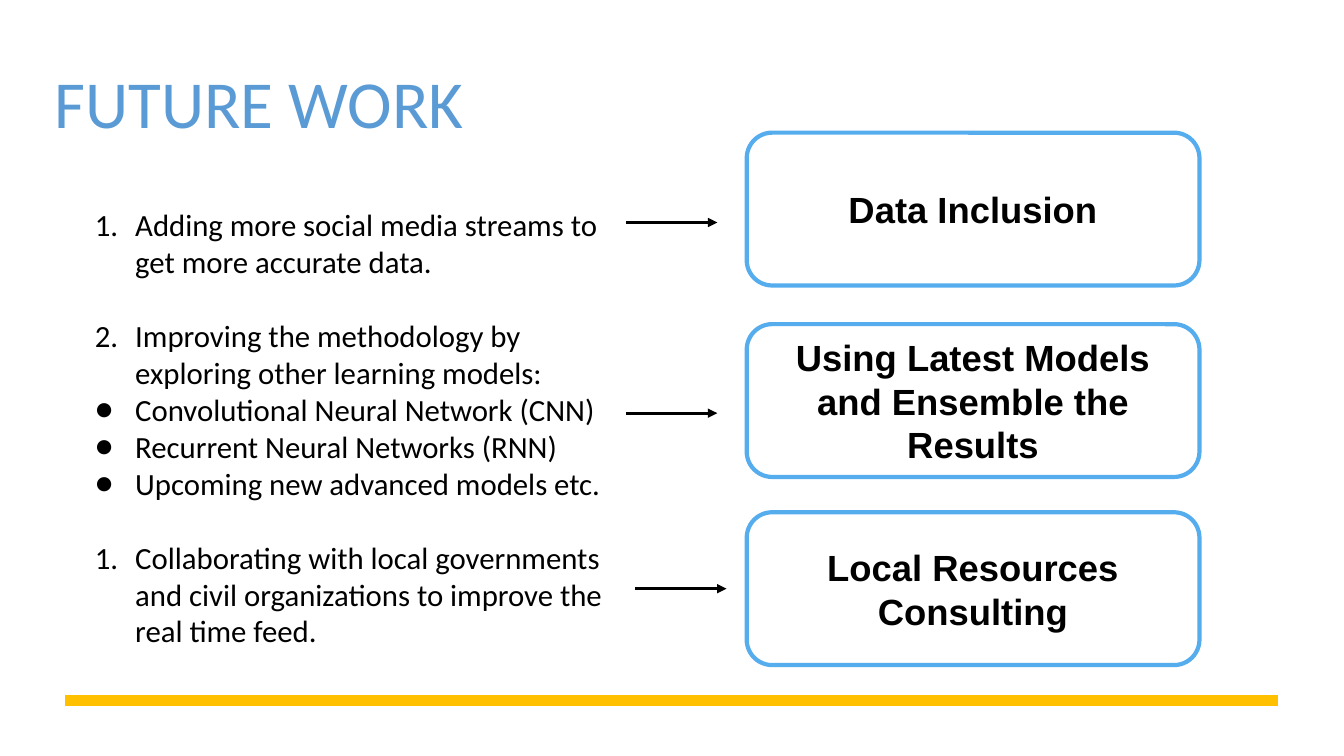
from dataclasses import dataclass

from lxml.etree import SubElement as sub
from pptx import Presentation
from pptx.dml.color import RGBColor as Rgb
from pptx.enum.shapes import MSO_CONNECTOR as Conn, MSO_SHAPE as Shape
from pptx.enum.text import MSO_ANCHOR as Anchor, MSO_AUTO_SIZE as Fit, PP_ALIGN as Align
from pptx.oxml.ns import qn
from pptx.util import Inches, Pt


@dataclass(frozen=True)
class Theme:
    blue: str = "5B9BD5"
    edge: str = "55ADEE"
    gold: str = "FFC000"
    ink: str = "000000"
    text: str = "Calibri"
    label: str = "Arial"
    head: int = 48
    body: int = 22
    box: int = 26
    gap: float = 26.4


T = Theme()
CELL = Inches(13.33) / 16  # grid of 16 columns and 9 rows

# Goal rows: label, box top, arrow start, arrow row
GOALS = [
    ("Data Inclusion", 1.58, 7.45, 2.65),
    ("Using Latest Models and Ensemble the Results", 3.86, 7.45, 4.92),
    ("Local Resources Consulting", 6.1, 7.56, 7.01),
]

# List items: number (None for a dot), text, opens a new group
ITEMS = [
    (1, "Adding more social media streams to get more accurate data.", False),
    (2, "Improving the methodology by exploring other learning models:", True),
    (None, "Convolutional Neural Network (CNN)", False),
    (None, "Recurrent Neural Networks (RNN)", False),
    (None, "Upcoming new advanced models etc.", False),
    (1, "Collaborating with local governments and civil organizations "
        "to improve the real time feed.", True),
]


def grid(*cells):
    return [round(c * CELL) for c in cells]


def place(shape, *cells):
    shape.left, shape.top, shape.width, shape.height = grid(*cells)


def style(para, face, size, color, bold=False):
    font = para.font
    font.name, font.size, font.bold = face, Pt(size), bold
    font.color.rgb = Rgb.from_string(color)


def setup(frame, anchor, pad):
    frame.word_wrap, frame.auto_size = True, Fit.NONE
    frame.vertical_anchor = anchor
    frame.margin_left = frame.margin_right = Inches(0.1)
    frame.margin_top = frame.margin_bottom = Inches(pad)


def mark(para, num):
    props = para._p.get_or_add_pPr()
    props.set("marL", str(Inches(0.5)))
    props.set("indent", str(-Inches(0.4)))
    tint = sub(props, qn("a:buClr"))
    sub(tint, qn("a:srgbClr"), val=T.ink)
    sub(props, qn("a:buFont"), typeface=T.text)
    if num:
        sub(props, qn("a:buAutoNum"), type="arabicPeriod", startAt=str(num))
    else:
        sub(props, qn("a:buChar"), char="●")


def add_title(slide, text):
    title = slide.shapes.title
    place(title, 0.53, 0.66, 11.57, 1.09)
    setup(title.text_frame, Anchor.MIDDLE, 0.05)
    title.text_frame.text = text
    para = title.text_frame.paragraphs[0]
    para.alignment = Align.LEFT
    style(para, T.text, T.head, T.blue)


def add_list(slide, items):
    body = slide.placeholders[1]
    place(body, 0.89, 2.33, 6.66, 5.58)
    frame = body.text_frame
    setup(frame, Anchor.TOP, 0.1)
    for i, (num, text, opens) in enumerate(items):
        para = frame.add_paragraph() if i else frame.paragraphs[0]
        para.text = text
        para.space_before = Pt(T.gap if opens else 0)
        mark(para, num)
        style(para, T.text, T.body, T.ink)


def add_box(slide, text, top):
    box = slide.shapes.add_shape(Shape.ROUNDED_RECTANGLE, *grid(8.89, top, 5.39, 1.82))
    box.shadow.inherit = False
    box.fill.background()
    box.line.color.rgb = Rgb.from_string(T.edge)
    box.line.width = Pt(3)
    setup(box.text_frame, Anchor.MIDDLE, 0.1)
    box.text_frame.text = text
    para = box.text_frame.paragraphs[0]
    para.alignment = Align.CENTER
    style(para, T.label, T.box, T.ink, True)


def add_line(slide, start, end, row, color, width, arrow=False):
    line = slide.shapes.add_connector(Conn.STRAIGHT, *grid(start, row, end, row))
    line.line.color.rgb = Rgb.from_string(color)
    line.line.width = Pt(width)
    if arrow:
        sub(line.line._get_or_add_ln(), qn("a:tailEnd"), type="triangle")
    sub(line._element.spPr, qn("a:effectLst"))


def main():
    deck = Presentation()
    deck.slide_width, deck.slide_height = Inches(13.33), Inches(7.5)
    slide = deck.slides.add_slide(deck.slide_layouts[1])

    # Title, footer rule and list
    add_title(slide, "FUTURE WORK")
    add_line(slide, 15.22, 0.78, 8.34, T.gold, 8)
    add_list(slide, ITEMS)

    # Goals with their arrows
    for text, top, start, row in GOALS:
        add_box(slide, text, top)
        add_line(slide, start, start + 1.09, row, T.ink, 2.25, True)

    deck.save("out.pptx")


if __name__ == "__main__":
    main()
